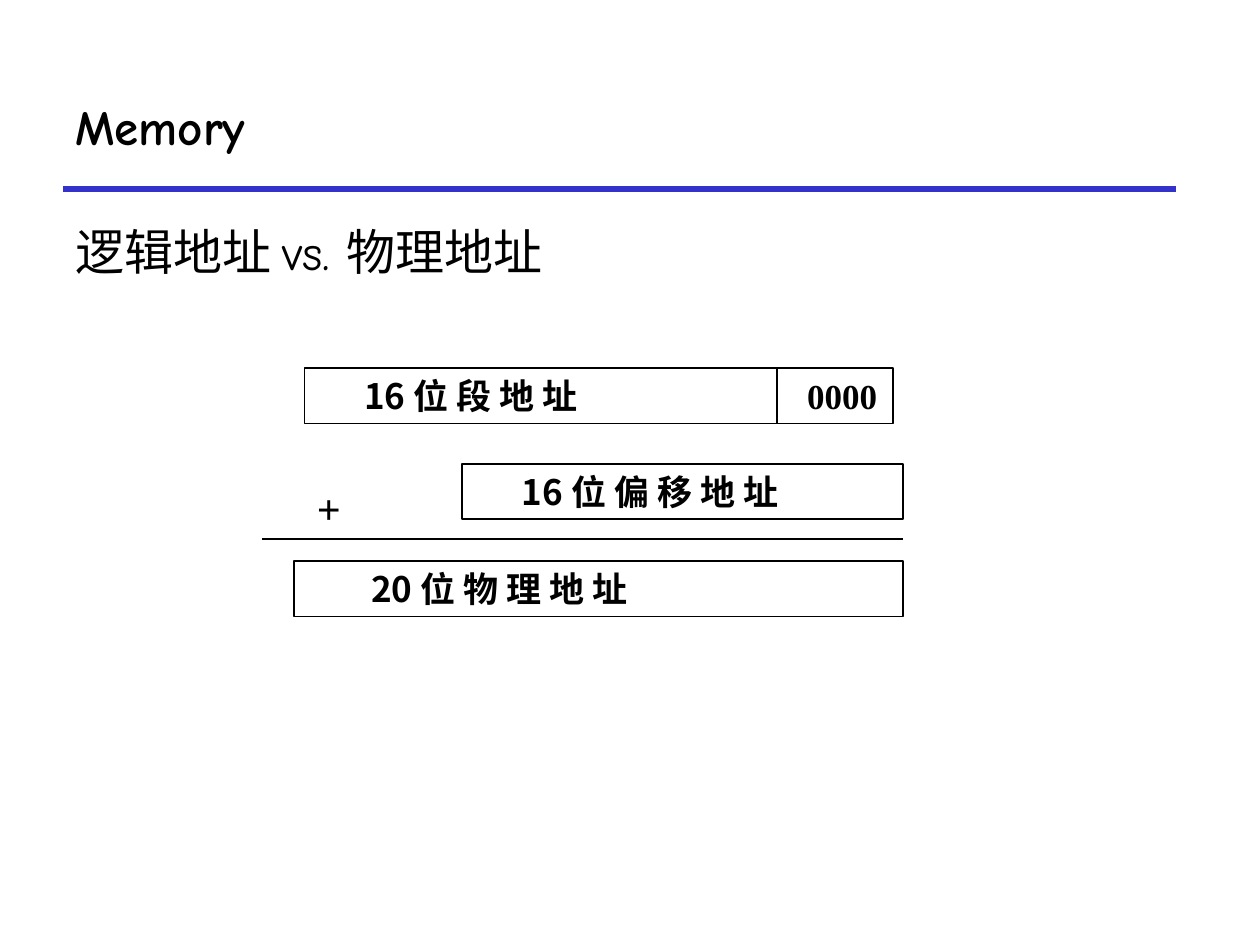
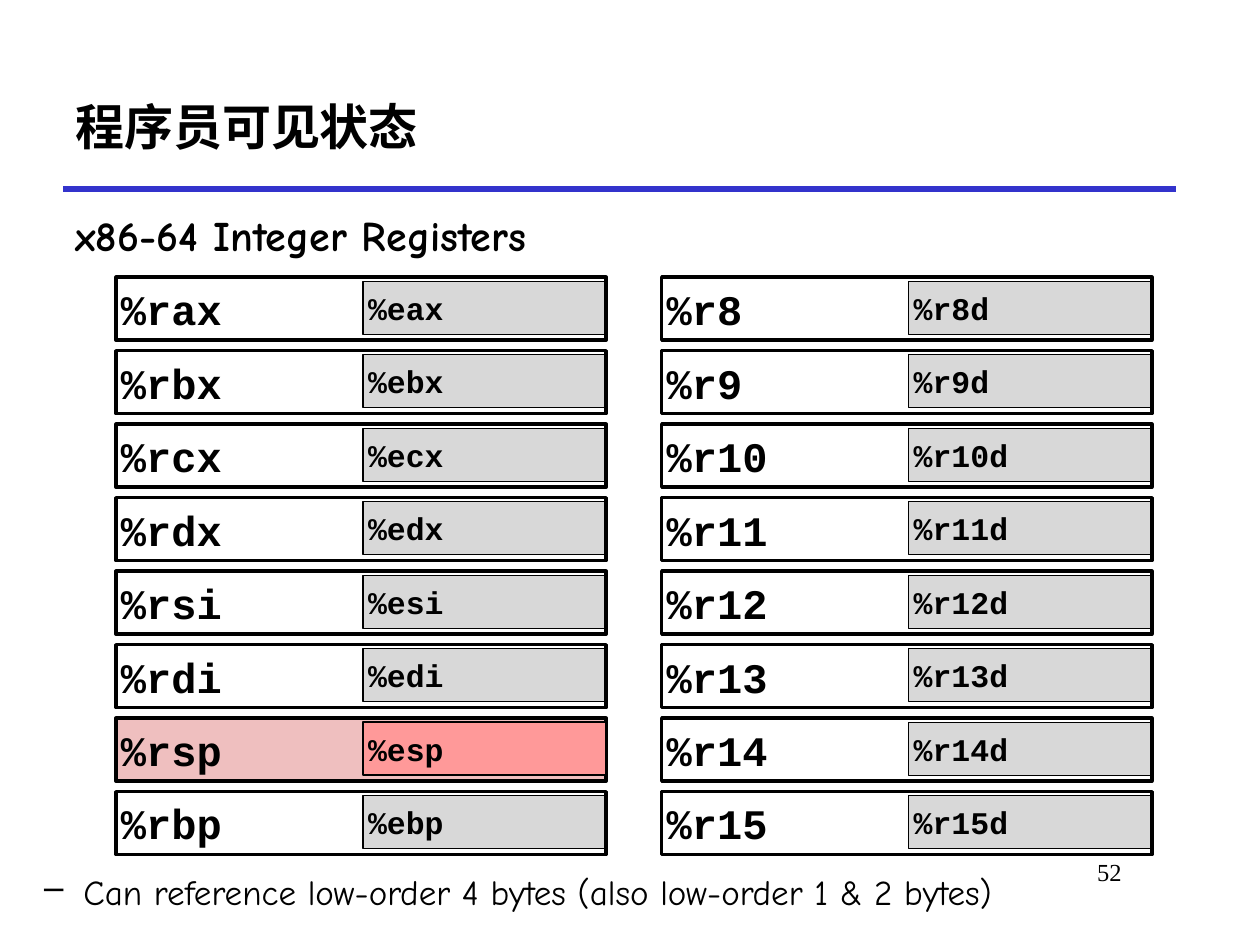
import dataclasses

import lxml.etree
import pptx
import pptx.dml.color
import pptx.enum.shapes
import pptx.enum.text
import pptx.oxml.ns
import pptx.util

Cm = pptx.util.Cm
Pt = pptx.util.Pt
Align = pptx.enum.text.PP_ALIGN
Anchor = pptx.enum.text.MSO_ANCHOR
qn = pptx.oxml.ns.qn


@dataclasses.dataclass(frozen=True)
class Theme:
    ink: str = "000000"
    rule: str = "3333CC"
    low_half: str = "D8D8D8"
    stack_register: str = "EFBFBF"
    stack_low_half: str = "FF9999"
    heading_font: str = "Comic Neue"
    chinese_font: str = "Noto Sans CJK SC"
    code_font: str = "Courier New"
    serif_font: str = "Times New Roman"
    title_size: int = 28
    large_size: int = 24
    body_size: int = 20
    low_half_size: int = 18
    number_size: int = 14


@dataclasses.dataclass(frozen=True)
class Box:
    left: float
    top: float
    width: float
    height: float

    def inner(self, left, top, width, height):
        return Box(self.left + left, self.top + top, width, height)

    def lengths(self):
        return [Cm(v) for v in (self.left, self.top, self.width, self.height)]


THEME = Theme()
TITLE = Box(1.27, 1.27, 22.43, 2.54)
REGISTERS = (
    ("rax", "eax"), ("rbx", "ebx"), ("rcx", "ecx"), ("rdx", "edx"),
    ("rsi", "esi"), ("rdi", "edi"), ("rsp", "esp"), ("rbp", "ebp"),
)
EXTENDED_REGISTERS = tuple((f"r{n}", f"r{n}d") for n in range(8, 16))


def rgb(value):
    return pptx.dml.color.RGBColor.from_string(value)


def write(shape, text, *, font=THEME.heading_font, size=THEME.body_size,
          bold=False, align=Align.LEFT, anchor=Anchor.MIDDLE,
          inset=(0.25, 0.13), indent=0, hanging=0, bullet=None):
    frame = shape.text_frame
    frame.word_wrap = True
    frame.vertical_anchor = anchor
    frame.margin_left = frame.margin_right = Cm(inset[0])
    frame.margin_top = frame.margin_bottom = Cm(inset[1])
    paragraph = frame.paragraphs[0]
    paragraph.alignment = align
    properties = paragraph._p.get_or_add_pPr()
    properties.set("marL", str(Cm(indent)))
    properties.set("indent", str(-Cm(hanging)))
    if bullet:
        lxml.etree.SubElement(properties, qn("a:buChar")).set("char", bullet)
    run = paragraph.add_run()
    run.text = text
    run.font.name = font
    run.font.size = Pt(size)
    run.font.bold = bold
    run.font.color.rgb = rgb(THEME.ink)
    east_asian = lxml.etree.SubElement(run._r.get_or_add_rPr(), qn("a:ea"))
    east_asian.set("typeface", THEME.chinese_font)


def add_label(slide, box, text, **text_format):
    write(slide.shapes.add_textbox(*box.lengths()), text, **text_format)


def add_cell(slide, box, text, *, fill=None, line=1, **text_format):
    cell = slide.shapes.add_shape(
        pptx.enum.shapes.MSO_SHAPE.RECTANGLE, *box.lengths())
    cell.shadow.inherit = False
    if fill:
        cell.fill.solid()
        cell.fill.fore_color.rgb = rgb(fill)
    else:
        cell.fill.background()
    cell.line.color.rgb = rgb(THEME.ink)
    cell.line.width = Pt(line)
    write(cell, text, **text_format)


def add_rule(slide, left, top, width, color, weight):
    rule = slide.shapes.add_connector(
        pptx.enum.shapes.MSO_CONNECTOR.STRAIGHT,
        Cm(left), Cm(top), Cm(left + width), Cm(top))
    rule.line.color.rgb = rgb(color)
    rule.line.width = Pt(weight)
    lxml.etree.SubElement(rule._element.spPr, qn("a:effectLst"))


def add_titled_slide(deck, title):
    slide = deck.slides.add_slide(deck.slide_layouts[6])
    add_rule(slide, TITLE.left, TITLE.top + TITLE.height, TITLE.width,
             THEME.rule, 3)
    add_label(slide, TITLE, title, size=THEME.title_size, bold=True)
    return slide


def add_address_sum(slide, box):
    height = 1.12
    offset_width, physical_width = 8.89, 12.28
    address = {"font": THEME.chinese_font, "bold": True}
    add_cell(slide, box.inner(0.86, 0, 9.53, height), "16 位 段 地 址",
             indent=0.95, **address)
    add_cell(slide, box.inner(10.39, 0, 2.34, height), "0000",
             font=THEME.serif_font, bold=True, indent=0.35)
    add_cell(slide, box.inner(box.width - offset_width, 1.93, offset_width, height),
             "16 位 偏 移 地 址", indent=0.95, **address)
    add_label(slide, box.inner(0.86, 2.18, 1.2, 1.27), "+",
              font=THEME.serif_font, size=THEME.large_size, bold=True,
              anchor=Anchor.TOP)
    add_rule(slide, box.left, box.top + 3.45, box.width, THEME.ink, 1)
    add_cell(slide, box.inner(box.width - physical_width, 3.89, physical_width, height),
             "20 位 物 理 地 址", indent=1.3, **address)


def add_register(slide, box, name, low_name):
    is_stack = name == "rsp"
    code = {"font": THEME.code_font, "bold": True, "inset": (0.1, 0.1)}
    low_width = 4.9
    low_half = (box.inner(box.width - low_width, 0.08, low_width, 1.07),
                low_name, THEME.stack_low_half if is_stack else THEME.low_half,
                1 if is_stack else 0.75, THEME.low_half_size)
    whole = (box, name, THEME.stack_register if is_stack else None,
             2, THEME.large_size)
    parts = (whole, low_half) if is_stack else (low_half, whole)
    for part_box, register, fill, line, size in parts:
        add_cell(slide, part_box, f"%{register}", fill=fill, line=line,
                 size=size, **code)


def add_register_column(slide, box, registers):
    height = 1.27
    pitch = (box.height - height) / (len(registers) - 1)
    for row, (name, low_name) in enumerate(registers):
        add_register(slide, box.inner(0, row * pitch, box.width, height),
                     name, low_name)


def build_memory_slide(deck):
    slide = add_titled_slide(deck, "Memory")
    add_label(slide, TITLE.inner(0, 2.51, TITLE.width, TITLE.height),
              "逻辑地址 vs. 物理地址", size=THEME.title_size)
    add_address_sum(slide, Box(5.28, 7.42, 12.93, 5.01))


def build_registers_slide(deck):
    slide = add_titled_slide(deck, "程序员可见状态")
    add_label(slide, Box(1.27, 3.68, 21.08, 2.11), "x86-64 Integer Registers",
              size=THEME.large_size, bold=True)
    for left, registers in ((2.34, REGISTERS), (13.34, EXTENDED_REGISTERS)):
        add_register_column(slide, Box(left, 5.59, 9.88, 11.64), registers)
    add_label(slide, Box(0.64, 17.42, 22.17, 1.5),
              "Can reference low-order 4 bytes (also low-order 1 & 2 bytes)",
              anchor=Anchor.TOP, indent=0.79, hanging=0.79, bullet="–")
    add_label(slide, Box(19.25, 17.15, 3.61, 1.27), "52",
              font=THEME.serif_font, size=THEME.number_size,
              align=Align.RIGHT, anchor=Anchor.TOP)


def main():
    deck = pptx.Presentation()
    deck.slide_width = Cm(25.4)
    deck.slide_height = Cm(19.05)
    build_memory_slide(deck)
    build_registers_slide(deck)
    deck.save("out.pptx")


if __name__ == "__main__":
    main()
